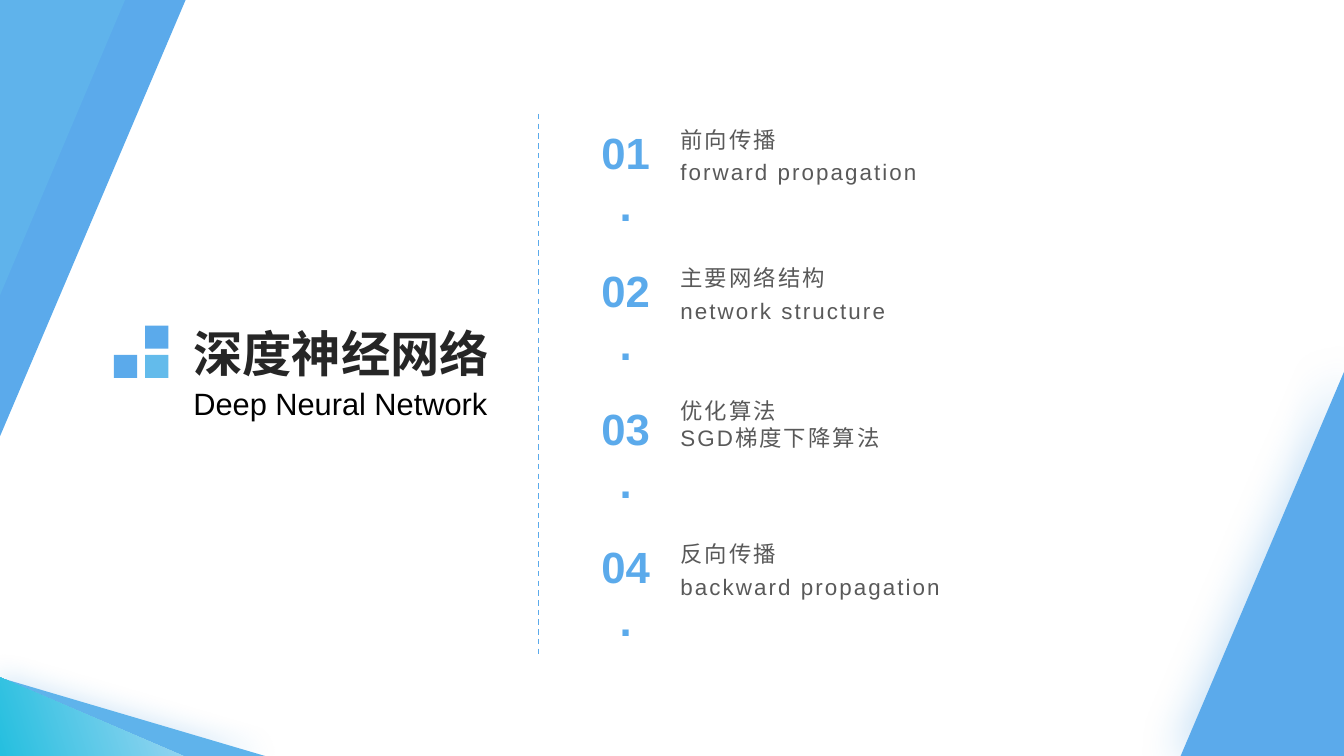
from lxml import etree
from pptx import Presentation
from pptx.dml.color import RGBColor as RGB
from pptx.enum.dml import MSO_LINE
from pptx.enum.shapes import MSO_CONNECTOR, MSO_SHAPE
from pptx.enum.text import MSO_ANCHOR as ANCHOR, PP_ALIGN as ALIGN
from pptx.oxml import parse_xml
from pptx.oxml.ns import nsdecls, qn
from pptx.util import Inches, Pt

THEME = {
    "font": "Arial",
    "blue": "5BAAEB", "sky": "5FB3EB", "light": "63BBEB", "shadow": "1B84DA",
    "fade": ("A1D6F3", "25BFDF"),
    "title": "262626", "subtitle": "000000", "body": "595959",
    "title_size": 35.2, "subtitle_size": 22, "number_size": 31.2, "body_size": 16,
}
TITLE = "深度神经网络"
SUBTITLE = "Deep Neural Network"
TOPICS = [
    (["前向传播", "forward propagation"], 1.2),
    (["主要网络结构", "network structure"], 1.2),
    (["优化算法", "SGD梯度下降算法"], 1.0),
    (["反向传播", "backward propagation"], 1.2),
]
CORNERS = [
    ((-0.01, 0, 1.85, 4.35), 180, "blue", None),
    ((-0.01, 0, 1.58, 3.71), 180, "blue", None),
    ((0, 0, 1.24, 2.93), 180, "sky", None),
    ((11.71, 3.69, 1.62, 3.81), 0, "blue", (28, 32, 180)),
    ((12.25, 4.95, 1.08, 2.55), 0, "blue", None),
    ((0.92, 5.79, 0.78, 2.64), 90, "sky", (17, 18, 270)),
    ((0.52, 6.2, 0.78, 1.82), 90, "fade", None),
]
SQUARES = [(1, 0, "blue"), (0, 1, "blue"), (1, 1, "light")]
SQUARE_LEFT, SQUARE_TOP, SQUARE_SIDE = 1.13, 3.23, 0.23
SQUARE_STEP_X, SQUARE_STEP_Y = 0.31, 0.29
ROW_TOP, ROW_STEP = 1.2, 1.37

prs = Presentation()
prs.slide_width, prs.slide_height = Inches(13.33), Inches(7.5)
s = prs.slides.add_slide(prs.slide_layouts[6])


def add_shape(kind, box, color):
    sp = s.shapes.add_shape(kind, *map(Inches, box))
    sp.shadow.inherit = False
    sp.line.fill.background()
    sp.fill.solid()
    sp.fill.fore_color.rgb = RGB.from_string(color)
    return sp


def add_gradient(sp, colors, angle):
    stops = "".join(f'<a:gs pos="{i * 100000}"><a:srgbClr val="{c}"/></a:gs>'
                    for i, c in enumerate(colors))
    spPr = sp._element.spPr
    spPr.replace(spPr.find(qn("a:solidFill")), parse_xml(
        f'<a:gradFill {nsdecls("a")} rotWithShape="1"><a:gsLst>{stops}</a:gsLst>'
        f'<a:lin ang="{angle * 60000}" scaled="0"/></a:gradFill>'))


def add_shadow(sp, alpha, blur, direction):
    sp._element.spPr.find(qn("a:effectLst")).append(parse_xml(
        f'<a:outerShdw {nsdecls("a")} blurRad="{Pt(blur)}" dist="{Pt(3)}" '
        f'dir="{direction * 60000}" algn="ctr" rotWithShape="0">'
        f'<a:srgbClr val="{THEME["shadow"]}"><a:alpha val="{alpha * 1000}"/>'
        '</a:srgbClr></a:outerShdw>'))


def add_text(lines, box, *, size, color, bold=False, align=ALIGN.LEFT,
             anchor=ANCHOR.TOP, top=0.05, bottom=0.05, leading=None, spacing=None):
    tf = s.shapes.add_textbox(*map(Inches, box)).text_frame
    tf.word_wrap = True
    tf.vertical_anchor = anchor
    tf.margin_top, tf.margin_bottom = Inches(top), Inches(bottom)
    for i, line in enumerate(lines):
        p = tf.add_paragraph() if i else tf.paragraphs[0]
        p.alignment = align
        p.line_spacing = leading
        r = p.add_run()
        r.text = line
        r.font.name, r.font.size, r.font.bold = THEME["font"], Pt(size), bold
        r.font.color.rgb = RGB.from_string(color)
        if spacing:
            r.font._element.set("spc", str(int(spacing * 100)))


for box, rotation, color, shadow in CORNERS:
    faded = color == "fade"
    sp = add_shape(MSO_SHAPE.ISOSCELES_TRIANGLE, box,
                   THEME["sky" if faded else color])
    sp.adjustments[0] = 0
    sp.rotation = rotation
    sp._element.spPr.find(qn("a:xfrm")).set("flipH", "1")
    if faded:
        add_gradient(sp, THEME["fade"], 108)
    if shadow:
        add_shadow(sp, *shadow)

for col, row, color in SQUARES:
    add_shape(MSO_SHAPE.RECTANGLE,
              (SQUARE_LEFT + col * SQUARE_STEP_X, SQUARE_TOP + row * SQUARE_STEP_Y,
               SQUARE_SIDE, SQUARE_SIDE), THEME[color])

divider = s.shapes.add_connector(MSO_CONNECTOR.STRAIGHT,
                                 *map(Inches, (5.34, 1.13, 5.34, 6.5)))
divider.line.color.rgb = RGB.from_string(THEME["blue"])
divider.line.width = Pt(1)
divider.line.dash_style = MSO_LINE.DASH
etree.SubElement(divider._element.spPr, qn("a:effectLst"))

add_text([TITLE], (1.82, 2.95, 3.16, 0.84), size=THEME["title_size"],
         color=THEME["title"], bold=True, anchor=ANCHOR.BOTTOM, bottom=0)
add_text([SUBTITLE], (1.82, 3.82, 3.51, 0.84), size=THEME["subtitle_size"],
         color=THEME["subtitle"], top=0)

for i, (lines, leading) in enumerate(TOPICS):
    y = ROW_TOP + i * ROW_STEP
    add_text([f"{i + 1:02d}."], (5.83, y, 0.75, 0.64), size=THEME["number_size"],
             color=THEME["blue"], bold=True, align=ALIGN.CENTER)
    add_text(lines, (6.65, y, 5.09, 1.18), size=THEME["body_size"],
             color=THEME["body"], top=0, leading=leading, spacing=1.5)

prs.save("out.pptx")
